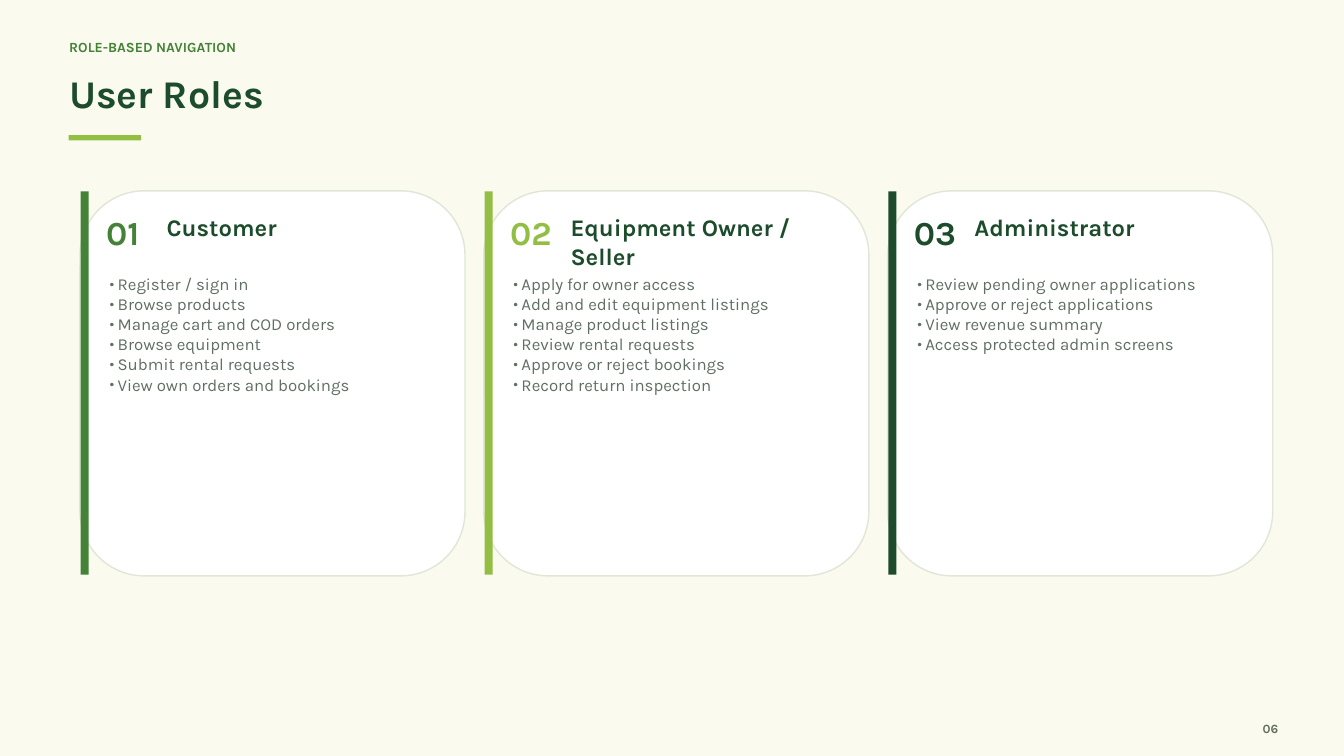
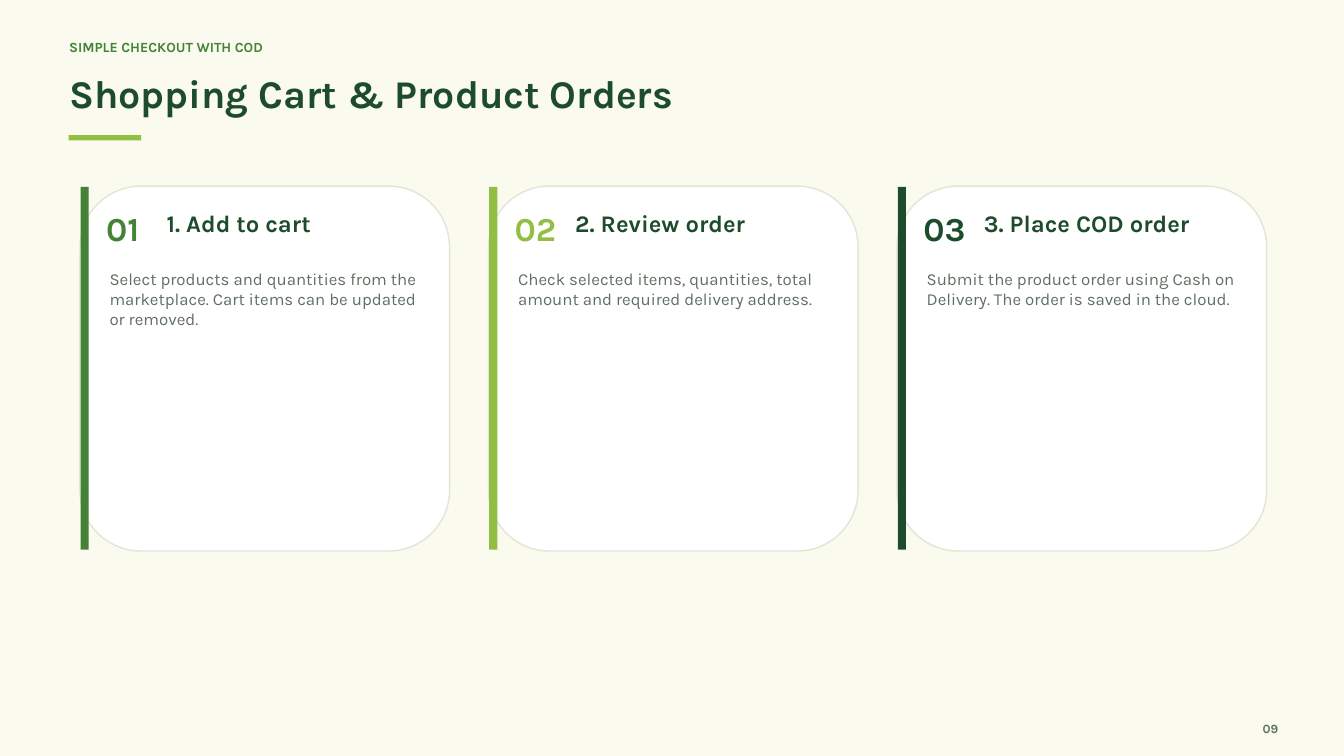
from pptx import Presentation
from pptx.dml.color import RGBColor
from pptx.enum.shapes import MSO_SHAPE
from pptx.enum.text import MSO_AUTO_SIZE, PP_ALIGN
from pptx.oxml.ns import qn
from pptx.util import Inches, Pt
from lxml.etree import SubElement

CREAM = RGBColor(0xFB, 0xFA, 0xEF)
WHITE = RGBColor(0xFF, 0xFF, 0xFF)
BORDER = RGBColor(0xE0, 0xE7, 0xD7)
LEAF = RGBColor(0x43, 0x82, 0x37)
LIME = RGBColor(0x92, 0xBE, 0x43)
FOREST = RGBColor(0x1C, 0x4C, 0x2B)
GRAY = RGBColor(0x5F, 0x6F, 0x62)

ROLES = [
    ("Customer", [
        "Register / sign in",
        "Browse products",
        "Manage cart and COD orders",
        "Browse equipment",
        "Submit rental requests",
        "View own orders and bookings",
    ]),
    ("Equipment Owner / Seller", [
        "Apply for owner access",
        "Add and edit equipment listings",
        "Manage product listings",
        "Review rental requests",
        "Approve or reject bookings",
        "Record return inspection",
    ]),
    ("Administrator", [
        "Review pending owner applications",
        "Approve or reject applications",
        "View revenue summary",
        "Access protected admin screens",
    ]),
]

ORDER_STEPS = [
    ("1. Add to cart", [
        "Select products and quantities from the marketplace. "
        "Cart items can be updated or removed.",
    ]),
    ("2. Review order", [
        "Check selected items, quantities, total amount and required delivery address.",
    ]),
    ("3. Place COD order", [
        "Submit the product order using Cash on Delivery. The order is saved in the cloud.",
    ]),
]


class Deck:
    """Hold the shared style and draw elements on the current slide."""

    font_name = "Karla"
    line_factor = 1.2
    bullet_indent = Inches(0.12)
    accents = (LEAF, LIME, FOREST)

    def __init__(self):
        """Start an empty widescreen presentation."""
        self.presentation = Presentation()
        self.presentation.slide_width = Inches(20)
        self.presentation.slide_height = Inches(11.25)
        self.slide = None

    def add_slide(self, label, title, number):
        """Add a slide with its background, heading and page number."""
        self.slide = self.presentation.slides.add_slide(self.presentation.slide_layouts[6])
        background = self.slide.background.fill
        background.solid()
        background.fore_color.rgb = CREAM
        self.add_text([label], 1.03, 0.58, 17.61, 0.32, 15, LEAF, bold=True)
        self.add_text([title], 1.03, 1.03, 17.91, 0.83, 42, FOREST, bold=True)
        self.add_box(MSO_SHAPE.RECTANGLE, 1.02, 2.01, 1.08, 0.08, LIME)
        self.add_text([number], 18.44, 10.73, 0.58, 0.21, 13.5, GRAY,
                      bold=True, alignment=PP_ALIGN.RIGHT)

    def add_box(self, kind, left, top, width, height, fill, border=None):
        """Add a filled shape with an optional border."""
        shape = self.slide.shapes.add_shape(
            kind, Inches(left), Inches(top), Inches(width), Inches(height))
        shape.shadow.inherit = False
        shape.fill.solid()
        shape.fill.fore_color.rgb = fill
        if border is None:
            shape.line.fill.background()
        else:
            shape.line.color.rgb = border
            shape.line.width = Pt(1.5)

    def add_text(self, lines, left, top, width, height, size, color,
                 bold=False, alignment=PP_ALIGN.LEFT, bulleted=False):
        """Add a text box without margins, one paragraph per line."""
        box = self.slide.shapes.add_textbox(
            Inches(left), Inches(top), Inches(width), Inches(height))
        frame = box.text_frame
        frame.word_wrap = True
        frame.auto_size = MSO_AUTO_SIZE.SHAPE_TO_FIT_TEXT
        frame.margin_left = frame.margin_right = 0
        frame.margin_top = frame.margin_bottom = 0
        for index, line in enumerate(lines):
            paragraph = frame.add_paragraph() if index else frame.paragraphs[0]
            paragraph.alignment = alignment
            paragraph.line_spacing = Pt(size * self.line_factor)
            if bulleted:
                self.add_bullet(paragraph)
            run = paragraph.add_run()
            run.text = line
            run.font.name = self.font_name
            run.font.size = Pt(size)
            run.font.bold = bold
            run.font.color.rgb = color

    def add_bullet(self, paragraph):
        """Give a paragraph a hanging round bullet."""
        properties = paragraph._p.get_or_add_pPr()
        properties.set("marL", str(self.bullet_indent))
        properties.set("indent", str(-self.bullet_indent))
        SubElement(properties, qn("a:buFont"), typeface=self.font_name)
        SubElement(properties, qn("a:buChar"), char="•")

    def add_card(self, number, title, lines, left, top, width, height, accent, bulleted):
        """Add a numbered card with an accent bar on its left edge."""
        self.add_box(MSO_SHAPE.ROUNDED_RECTANGLE, left, top, width, height, WHITE, BORDER)
        self.add_box(MSO_SHAPE.RECTANGLE, left + 0.01, top + 0.01, 0.12, height - 0.03, accent)
        self.add_text([f"{number:02}"], left + 0.39, top + 0.32, 0.73, 0.58, 36, accent, bold=True)
        self.add_text([title], left + 1.29, top + 0.33, width - 1.66, 0.53, 25.5, FOREST, bold=True)
        self.add_text(lines, left + 0.44, top + 1.23, width - 0.85, height - 1.48, 18, GRAY,
                      bulleted=bulleted)

    def add_card_row(self, cards, top, width, height, gap, bulleted=False):
        """Add equally spaced cards, one accent colour each."""
        for index, ((title, lines), accent) in enumerate(zip(cards, self.accents)):
            left = 1.19 + index * (width + gap)
            self.add_card(index + 1, title, lines, left, top, width, height, accent, bulleted)


def main():
    """Build both slides and save the presentation."""
    deck = Deck()
    deck.add_slide("ROLE-BASED NAVIGATION", "User Roles", "06")
    deck.add_card_row(ROLES, top=2.84, width=5.73, height=5.73, gap=0.28, bulleted=True)
    deck.add_slide("SIMPLE CHECKOUT WITH COD", "Shopping Cart & Product Orders", "09")
    deck.add_card_row(ORDER_STEPS, top=2.77, width=5.5, height=5.43, gap=0.58)
    deck.presentation.save("out.pptx")


if __name__ == "__main__":
    main()
